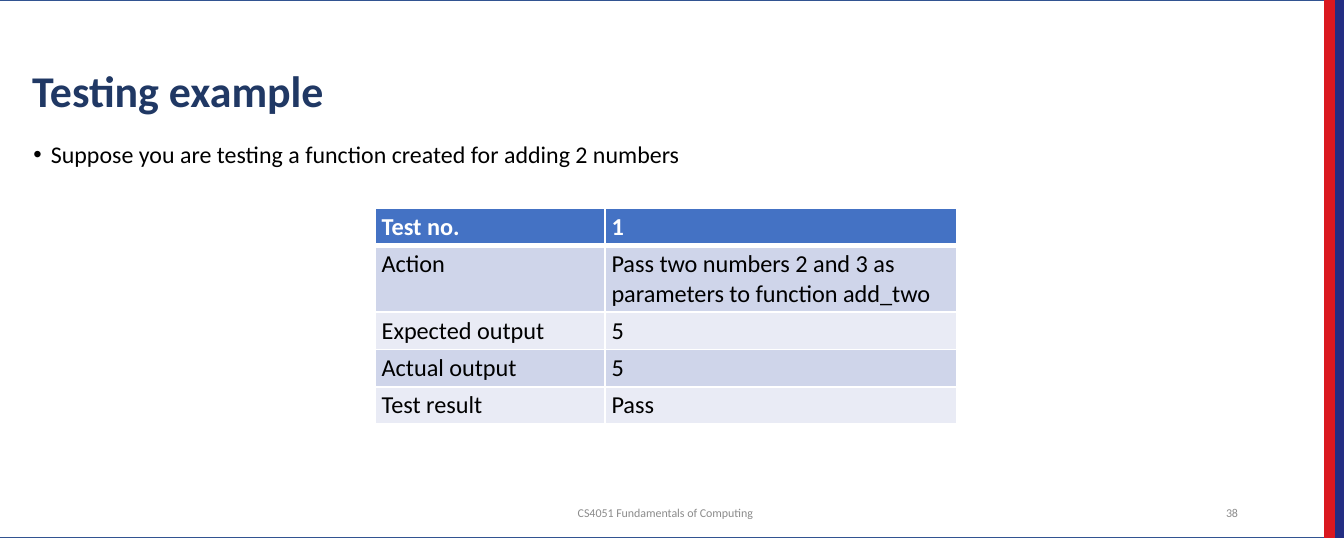
"""Build the "Testing example" slide with its test-case table."""
from pptx import Presentation
from pptx.dml.color import RGBColor
from pptx.enum.shapes import MSO_SHAPE as Shape
from pptx.enum.text import MSO_ANCHOR as Anchor, PP_ALIGN as Align
from pptx.oxml import parse_xml
from pptx.oxml.ns import nsdecls
from pptx.util import Inches, Pt

COLORS = {
    "white": "FFFFFF", "black": "000000", "frame": "325491",
    "navy": "232D82", "red": "DA1820", "title": "203864",
    "footer": "8C8C8C", "header": "4472C4",
    "odd_band": "CFD5EA", "even_band": "E9EBF5",
}

deck = Presentation()
deck.slide_width, deck.slide_height = Inches(10), Inches(4)
page = deck.slides.add_slide(deck.slide_layouts[6])


def share(left, top, width, height):
    """Turn percentages of the slide's size into lengths."""
    across, down = deck.slide_width / 100, deck.slide_height / 100
    return [round(n) for n in (left * across, top * down, width * across, height * down)]


def style(para, size, color, bold=False):
    """Set the font of a whole paragraph."""
    font = para.font
    font.name, font.size, font.bold = "Calibri", Pt(size), bold
    font.color.rgb = RGBColor.from_string(COLORS[color])


for left, width, fill, line in [
    (-0.7, 99.3, "white", "frame"),
    (99.3, 0.7, "navy", "navy"),
    (98.6, 0.7, "red", "red"),
]:
    panel = page.shapes.add_shape(Shape.RECTANGLE, *share(left, 0, width, 100))
    panel.shadow.inherit = False
    panel.fill.solid()
    panel.fill.fore_color.rgb = RGBColor.from_string(COLORS[fill])
    panel.line.color.rgb = RGBColor.from_string(COLORS[line])
    panel.line.width = Pt(1)

texts = [
    ("Suppose you are testing a function created for adding 2 numbers",
     (1.5, 25.25, 91.7, 65.5), Anchor.TOP, Align.JUSTIFY, 0.9, 12.8, "black"),
    ("Testing example",
     (1.4, 3.75, 91.7, 19.25), Anchor.BOTTOM, Align.LEFT, 0.9, 23.5, "title"),
    ("CS4051 Fundamentals of Computing",
     (26, 92.75, 47, 5.25), Anchor.MIDDLE, Align.CENTER, 1, 6.4, "footer"),
    ("38", (87.5, 92.75, 5.6, 5.25), Anchor.MIDDLE, Align.RIGHT, 1, 6.4, "footer"),
]
for wording, place, anchor, align, spacing, size, color in texts:
    box = page.shapes.add_textbox(*share(*place))
    frame = box.text_frame
    frame.word_wrap = True
    frame.vertical_anchor = anchor
    para = frame.paragraphs[0]
    para.text = wording
    para.alignment = align
    para.line_spacing = spacing
    if align == Align.JUSTIFY:
        props = para._p.get_or_add_pPr()
        props.set("marL", str(Inches(0.13)))
        props.set("indent", str(-Inches(0.13)))
        props.append(parse_xml(f'<a:buFont {nsdecls("a")} typeface="Arial"/>'))
        props.append(parse_xml(f'<a:buChar {nsdecls("a")} char="•"/>'))
    style(para, size, color, bold=color == "title")

test_case = [
    ("Test no.", "1"),
    ("Action", "Pass two numbers 2 and 3 as parameters to function add_two"),
    ("Expected output", "5"),
    ("Actual output", "5"),
    ("Test result", "Pass"),
]
table = page.shapes.add_table(len(test_case), 2, *share(27.9, 38.75, 43.3, 39)).table
for column, width in zip(table.columns, (17.1, 26.2)):
    column.width = share(0, 0, width, 0)[2]

for index, entries in enumerate(test_case):
    is_header = index == 0
    table.rows[index].height = share(0, 0, 0, 12 if index == 1 else 6.75)[3]
    band = "header" if is_header else "odd_band" if index % 2 else "even_band"
    for column, wording in enumerate(entries):
        cell = table.cell(index, column)
        cell.margin_left = cell.margin_right = Inches(0.05)
        cell.margin_top = cell.margin_bottom = Inches(0.03)
        cell.text = wording
        style(cell.text_frame.paragraphs[0], 13,
              "white" if is_header else "black", bold=is_header)
        cell.fill.solid()
        cell.fill.fore_color.rgb = RGBColor.from_string(COLORS[band])
        for order, side in enumerate("LRTB"):
            heavy = (is_header and side == "B") or (index == 1 and side == "T")
            cell._tc.get_or_add_tcPr().insert(order, parse_xml(
                f'<a:ln{side} {nsdecls("a")} w="{Pt(3 if heavy else 1)}"><a:solidFill>'
                f'<a:srgbClr val="{COLORS["white"]}"/></a:solidFill></a:ln{side}>'))

deck.save("out.pptx")
